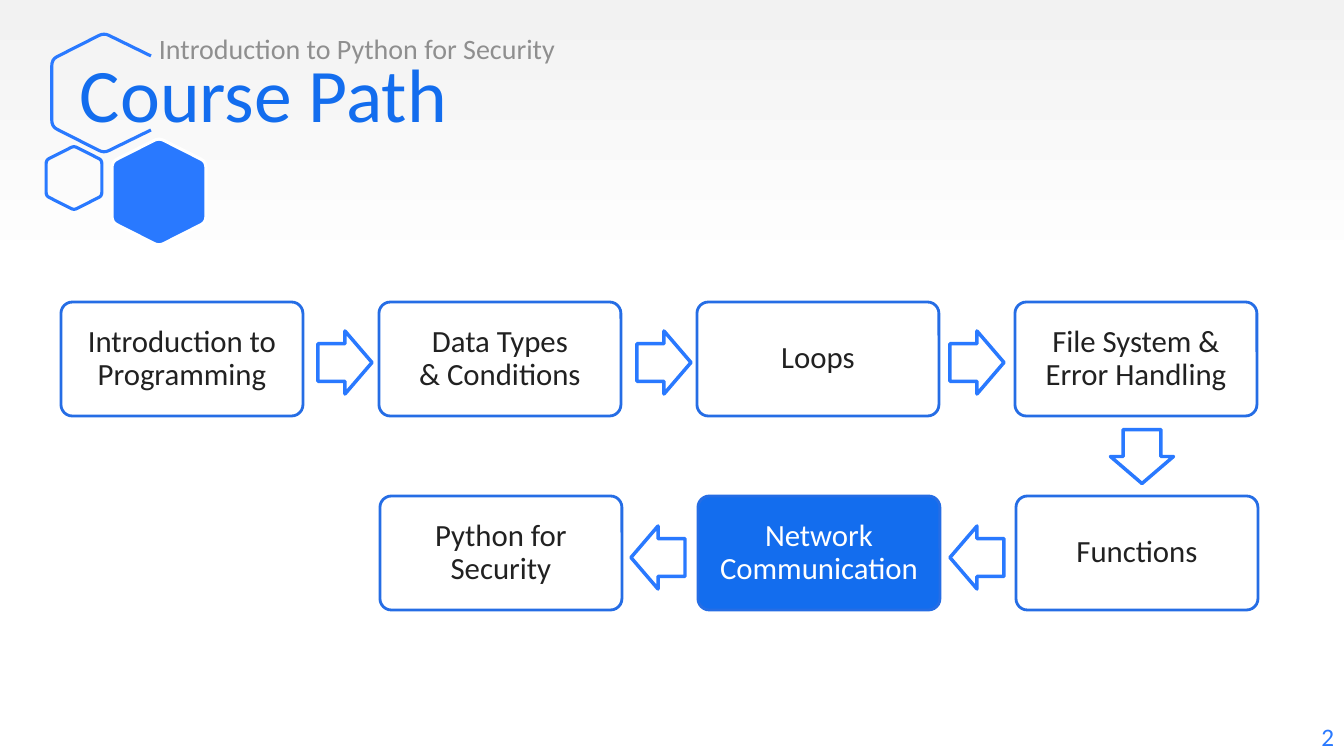
from pptx import Presentation
from pptx.dml.color import RGBColor
from pptx.enum.shapes import MSO_SHAPE
from pptx.enum.text import MSO_ANCHOR, PP_ALIGN
from pptx.util import Pt

PX = 12192000 / 1344
BRIGHT_BLUE = RGBColor(0x29, 0x79, 0xFF)
BORDER_BLUE = RGBColor(0x25, 0x6D, 0xE5)
DEEP_BLUE = RGBColor(0x13, 0x6D, 0xEE)
WHITE = RGBColor(0xFF, 0xFF, 0xFF)
PALE_GRAY = RGBColor(0xF2, 0xF2, 0xF2)
GRAY = RGBColor(0x8F, 0x8F, 0x8F)
INK = RGBColor(0x21, 0x21, 0x21)


def px(*lengths):
    return [round(length * PX) for length in lengths]


def write(frame, text, size, color, align, anchor):
    frame.word_wrap = True
    frame.vertical_anchor = anchor
    frame.text = text
    paragraph = frame.paragraphs[0]
    paragraph.alignment = align
    for run in paragraph.runs:
        run.font.name = "Calibri"
        run.font.size = Pt(size)
        run.font.color.rgb = color


prs = Presentation()
prs.slide_width, prs.slide_height = px(1344, 756)
slide = prs.slides.add_slide(prs.slide_layouts[6])
shapes = slide.shapes

backdrop = slide.background.fill
backdrop.gradient()
backdrop.gradient_angle = 270
for stop, color, position in zip(backdrop.gradient_stops, (PALE_GRAY, WHITE), (0, 0.37)):
    stop.color.rgb = color
    stop.position = position

CORNER = 0.1
hexagons = [
    (104, 93, 60, True, None, BRIGHT_BLUE),
    (74, 178, 32, False, None, BRIGHT_BLUE),
    (159, 192, 54, False, BRIGHT_BLUE, WHITE),
]
for center_x, center_y, radius, is_open, fill, line in hexagons:
    half_width, shoulder = 0.87 * radius, 0.56 * radius
    offsets = [
        (half_width, shoulder), (0, radius), (-half_width, shoulder),
        (-half_width, -shoulder), (0, -radius), (half_width, -shoulder),
    ]
    corners = [(center_x + dx, center_y + dy) for dx, dy in offsets]
    if is_open:
        corners[0], corners[5] = (151, 130), (151, 56)
    outline = []
    for i, corner in enumerate(corners):
        if is_open and i in (0, 5):
            outline.append(px(*corner))
            continue
        before, after = corners[i - 1], corners[(i + 1) % 6]
        for t in (0, 0.25, 0.5, 0.75, 1):
            outline.append(px(*(
                c + CORNER * ((1 - t) ** 2 * (b - c) + t ** 2 * (a - c))
                for b, c, a in zip(before, corner, after)
            )))
    builder = shapes.build_freeform(*outline[0])
    builder.add_line_segments(outline[1:], close=not is_open)
    hexagon = builder.convert_to_shape()
    hexagon.shadow.inherit = False
    hexagon.line.color.rgb = line
    hexagon.line.width = Pt(2.25)
    if fill is None:
        hexagon.fill.background()
    else:
        hexagon.fill.solid()
        hexagon.fill.fore_color.rgb = fill

captions = [
    ("2", (1167, 716, 177, 40), 18, BRIGHT_BLUE, PP_ALIGN.RIGHT, MSO_ANCHOR.TOP),
    ("Course Path", (70, 32, 1158, 121), 54, DEEP_BLUE, PP_ALIGN.LEFT, MSO_ANCHOR.MIDDLE),
    ("Introduction to Python for Security", (149, 27, 449, 36), 20, GRAY,
     PP_ALIGN.LEFT, MSO_ANCHOR.TOP),
]
for text, box, size, color, align, anchor in captions:
    caption = shapes.add_textbox(*px(*box))
    write(caption.text_frame, text, size, color, align, anchor)

COLUMN_STEP = 318
course_rows = [
    (61, 302, ["Introduction to Programming", "Data Types\v& Conditions", "Loops",
               "File System & Error Handling"]),
    (380, 496, ["Python for Security", "Network Communication", "Functions"]),
]
for left, top, modules_in_row in course_rows:
    for column, topic in enumerate(modules_in_row):
        is_current = topic == "Network Communication"
        step = shapes.add_shape(MSO_SHAPE.ROUNDED_RECTANGLE,
                                *px(left + column * COLUMN_STEP, top, 242, 114))
        step.adjustments[0] = 0.1
        step.shadow.inherit = False
        step.fill.solid()
        step.fill.fore_color.rgb = DEEP_BLUE if is_current else WHITE
        step.line.color.rgb = BORDER_BLUE
        step.line.width = Pt(2)
        frame = step.text_frame
        frame.margin_left, frame.margin_top, frame.margin_right, frame.margin_bottom = px(*[13] * 4)
        write(frame, topic, 22, WHITE if is_current else INK, PP_ALIGN.CENTER, MSO_ANCHOR.MIDDLE)
        frame.paragraphs[0].line_spacing = 0.9

arrows = [(318, 331, 0), (637, 331, 0), (950, 331, 0),
          (1115, 425, 90), (950, 526, 180), (631, 526, 180)]
for left, top, turn in arrows:
    arrow = shapes.add_shape(MSO_SHAPE.RIGHT_ARROW, *px(left, top, 54, 63))
    arrow.adjustments[0] = 0.6
    arrow.adjustments[1] = 0.5
    arrow.rotation = turn
    arrow.shadow.inherit = False
    arrow.fill.background()
    arrow.line.color.rgb = BRIGHT_BLUE
    arrow.line.width = Pt(2.5)

prs.save("out.pptx")
